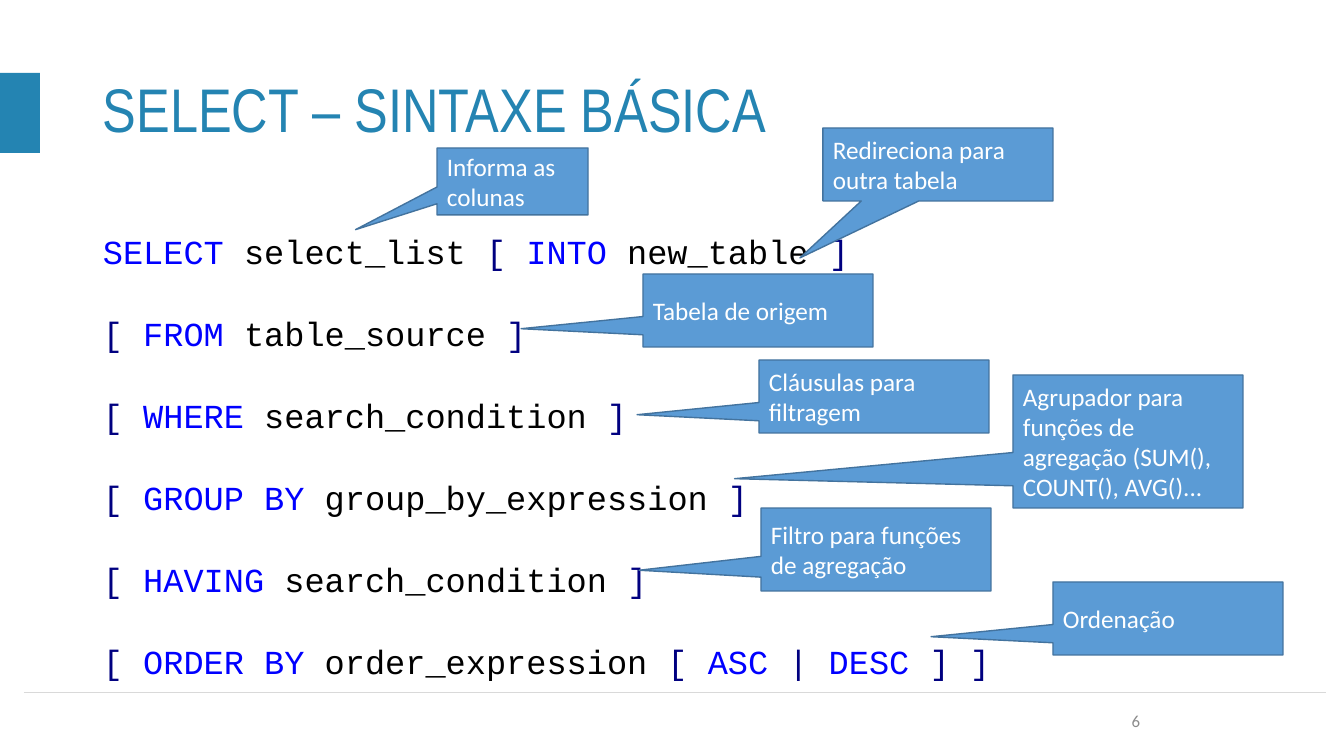
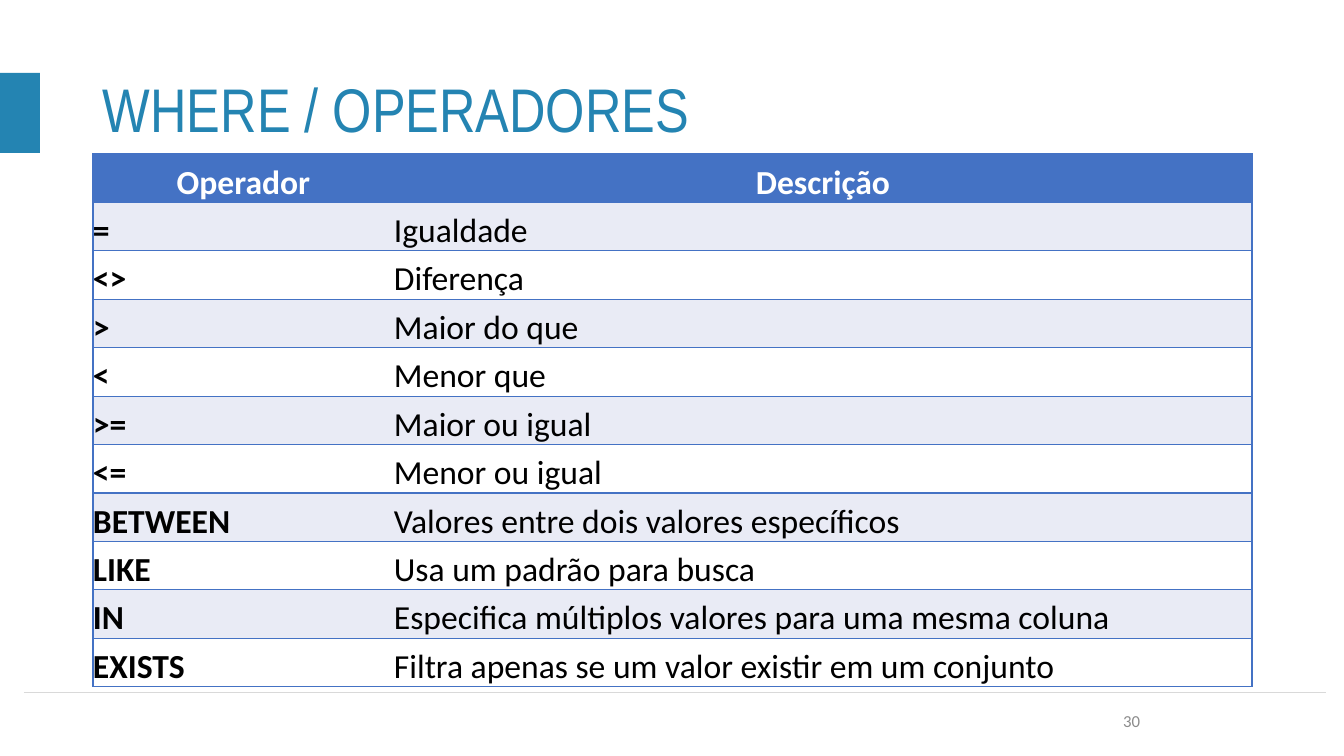
from itertools import groupby

from lxml import etree
from pptx import Presentation
from pptx.dml.color import RGBColor
from pptx.enum.shapes import MSO_CONNECTOR, MSO_SHAPE
from pptx.enum.text import MSO_ANCHOR, PP_ALIGN
from pptx.oxml.ns import qn
from pptx.util import Pt

RECT, CALLOUT = MSO_SHAPE.RECTANGLE, MSO_SHAPE.RECTANGULAR_CALLOUT
STRAIGHT = MSO_CONNECTOR.STRAIGHT
MIDDLE = MSO_ANCHOR.MIDDLE
LEFT, CENTER, RIGHT, JUSTIFY = PP_ALIGN.LEFT, PP_ALIGN.CENTER, PP_ALIGN.RIGHT, PP_ALIGN.JUSTIFY
PX = 914400 / 100.8
TEAL, RULE, GRAY = "2484B2", "D9D9D9", "8C8C8C"
KEYWORD, BRACKET, BLACK, WHITE = "0000FF", "000080", "000000", "FFFFFF"
CALLOUT_FILL, CALLOUT_LINE = "5B9BD5", "43739E"
TABLE_BLUE, TABLE_BAND = "4472C4", "E9EBF5"


def emu(*pixels):
    """Turn pixel lengths into EMU."""
    return [round(n * PX) for n in pixels]


def write(p, text, size=18, font="Calibri", color=WHITE, bold=False, align=LEFT,
          spacing=None, before=None, after=None):
    """Add a run to a paragraph and format both."""
    r = p.add_run()
    r.text = text
    r.font.size, r.font.name, r.font.bold = Pt(size), font, bold
    r.font.color.rgb = RGBColor.from_string(color)
    p.alignment, p.line_spacing = align, spacing
    if before is not None:
        p.space_before = Pt(before)
    if after is not None:
        p.space_after = Pt(after)


prs = Presentation()
prs.slide_width, prs.slide_height = emu(1344, 756)

# Shared frame: side band, footer rule, title and page number
for title, number in [("SELECT – SINTAXE BÁSICA", "6"), ("WHERE / OPERADORES", "30")]:
    s = prs.slides.add_slide(prs.slide_layouts[6])
    band = s.shapes.add_shape(RECT, *emu(0, 73, 40, 80))
    band.shadow.inherit = False
    band.fill.solid()
    band.fill.fore_color.rgb = RGBColor.from_string(TEAL)
    band.line.fill.background()

    rule = s.shapes.add_connector(STRAIGHT, *emu(24, 692, 1326, 692))
    rule.line.color.rgb = RGBColor.from_string(RULE)
    rule.line.width = Pt(0.5)
    etree.SubElement(rule._element.spPr, qn("a:effectLst"))

    for box, text, style in [
        ((93, 40, 1159, 146), title,
         dict(size=44, font="Arial Narrow", color=TEAL, spacing=0.9)),
        ((950, 701, 200, 40), number, dict(size=12, color=GRAY, align=RIGHT)),
    ]:
        tf = s.shapes.add_textbox(*emu(*box)).text_frame
        tf.word_wrap, tf.vertical_anchor = True, MIDDLE
        write(tf.paragraphs[0], text, **style)

syntax_slide, operator_slide = prs.slides

# SELECT syntax: words in capitals are keywords
clauses = [
    "SELECT select_list [ INTO new_table ]",
    "[ FROM table_source ]",
    "[ WHERE search_condition ]",
    "[ GROUP BY group_by_expression ]",
    "[ HAVING search_condition ]",
    "[ ORDER BY order_expression [ ASC | DESC ] ]",
]
tf = syntax_slide.shapes.add_textbox(*emu(93, 202, 1159, 480)).text_frame
tf.word_wrap = True
for i, clause in enumerate(clauses):
    p = tf.add_paragraph() if i else tf.paragraphs[0]
    for color, words in groupby(clause.split(), lambda word: KEYWORD if word.isupper()
                                else BRACKET if word in "[|]" else BLACK):
        write(p, " ".join(words) + " ", size=24, font="Courier New", color=color,
              spacing=1.6, before=10, after=2.5)

callouts = [
    ("Informa as colunas", (437, 148, 151, 67), (-1.04, 0.72)),
    ("Redireciona para outra tabela", (823, 128, 230, 73), (-0.6, 1.28)),
    ("Ordenação", (1053, 582, 230, 73), (-1.03, 0.25)),
    ("Cláusulas para filtragem", (759, 360, 230, 73), (-1.03, 0.25)),
    ("Agrupador para funções de agregação (SUM(), COUNT(), AVG()...",
     (1013, 375, 230, 133), (-1.71, 0.28)),
    ("Filtro para funções de agregação", (761, 508, 230, 83), (-1.03, 0.25)),
    ("Tabela de origem", (643, 274, 230, 73), (-1.03, 0.25)),
]
for text, box, tip in callouts:
    sp = syntax_slide.shapes.add_shape(CALLOUT, *emu(*box))
    sp.shadow.inherit = False
    sp.adjustments[0], sp.adjustments[1] = tip
    sp.fill.solid()
    sp.fill.fore_color.rgb = RGBColor.from_string(CALLOUT_FILL)
    sp.line.color.rgb = RGBColor.from_string(CALLOUT_LINE)
    sp.line.width = Pt(1)
    tf = sp.text_frame
    tf.word_wrap, tf.vertical_anchor = True, MIDDLE
    write(tf.paragraphs[0], text)

# Table of operators
rows = [
    ("Operador", "Descrição"),
    ("=", "Igualdade"),
    ("<>", "Diferença"),
    (">", "Maior do que"),
    ("<", "Menor que"),
    (">=", "Maior ou igual"),
    ("<=", "Menor ou igual"),
    ("BETWEEN", "Valores entre dois valores específicos"),
    ("LIKE", "Usa um padrão para busca"),
    ("IN", "Especifica múltiplos valores para uma mesma coluna"),
    ("EXISTS", "Filtra apenas se um valor existir em um conjunto"),
]
table = operator_slide.shapes.add_table(
    len(rows), 2, *emu(93, 154, 1159, 48 * len(rows))).table
table.columns[0].width, table.columns[1].width = emu(301, 858)
for i, row in enumerate(rows):
    for j, text in enumerate(row):
        cell = table.cell(i, j)
        cell.margin_left = cell.margin_right = cell.margin_top = cell.margin_bottom = 0
        cell.vertical_anchor = MIDDLE
        inner_side = "a:lnL" if j else "a:lnR"
        for side in ("a:lnL", "a:lnR", "a:lnT", "a:lnB"):
            ln = etree.SubElement(cell._tc.get_or_add_tcPr(), qn(side), w=str(Pt(1)))
            if side == inner_side:
                etree.SubElement(ln, qn("a:noFill"))
            else:
                fill = etree.SubElement(ln, qn("a:solidFill"))
                etree.SubElement(fill, qn("a:srgbClr"), val=TABLE_BLUE)
        cell.fill.solid()
        cell.fill.fore_color.rgb = RGBColor.from_string(
            TABLE_BLUE if i == 0 else TABLE_BAND if i % 2 else WHITE)
        style = (dict(color=WHITE, bold=True, align=CENTER) if i == 0 else
                 dict(color=BLACK, bold=j == 0, align=JUSTIFY, after=6))
        write(cell.text_frame.paragraphs[0], text, size=24, spacing=1.2, **style)

prs.save("out.pptx")
